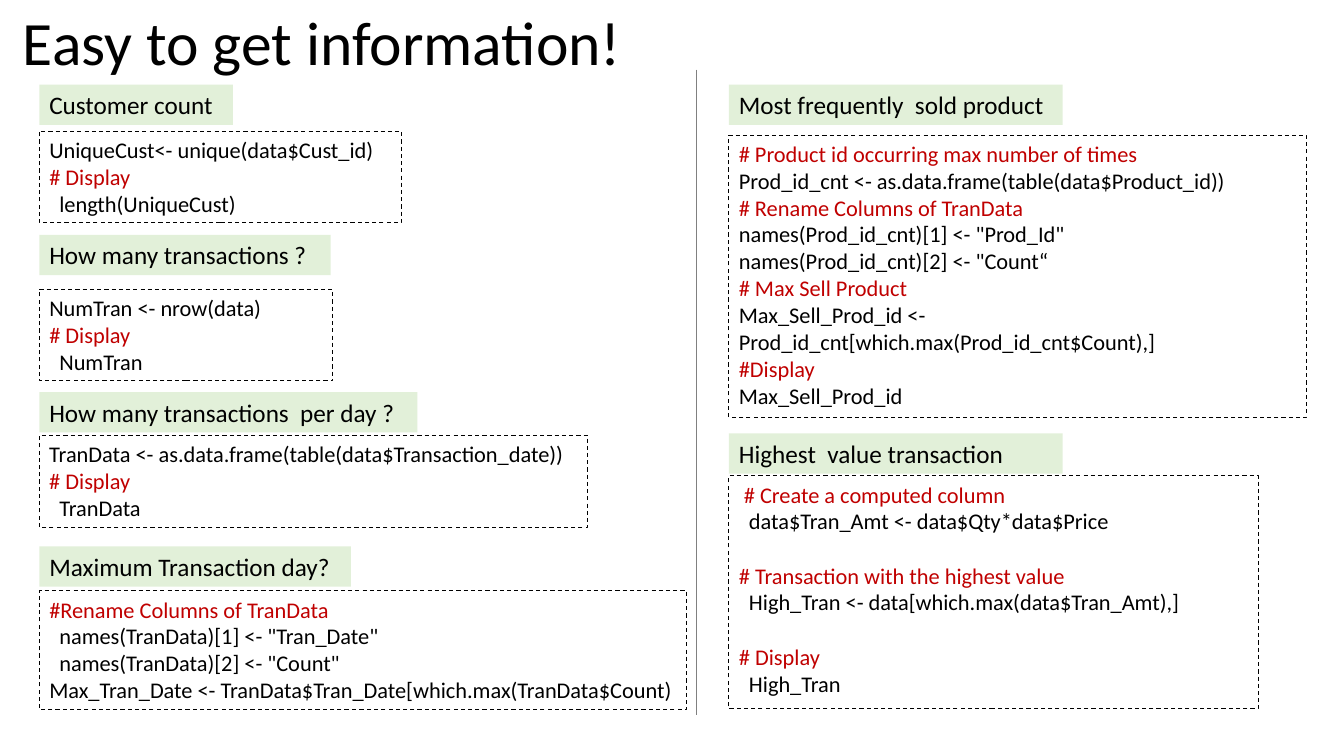
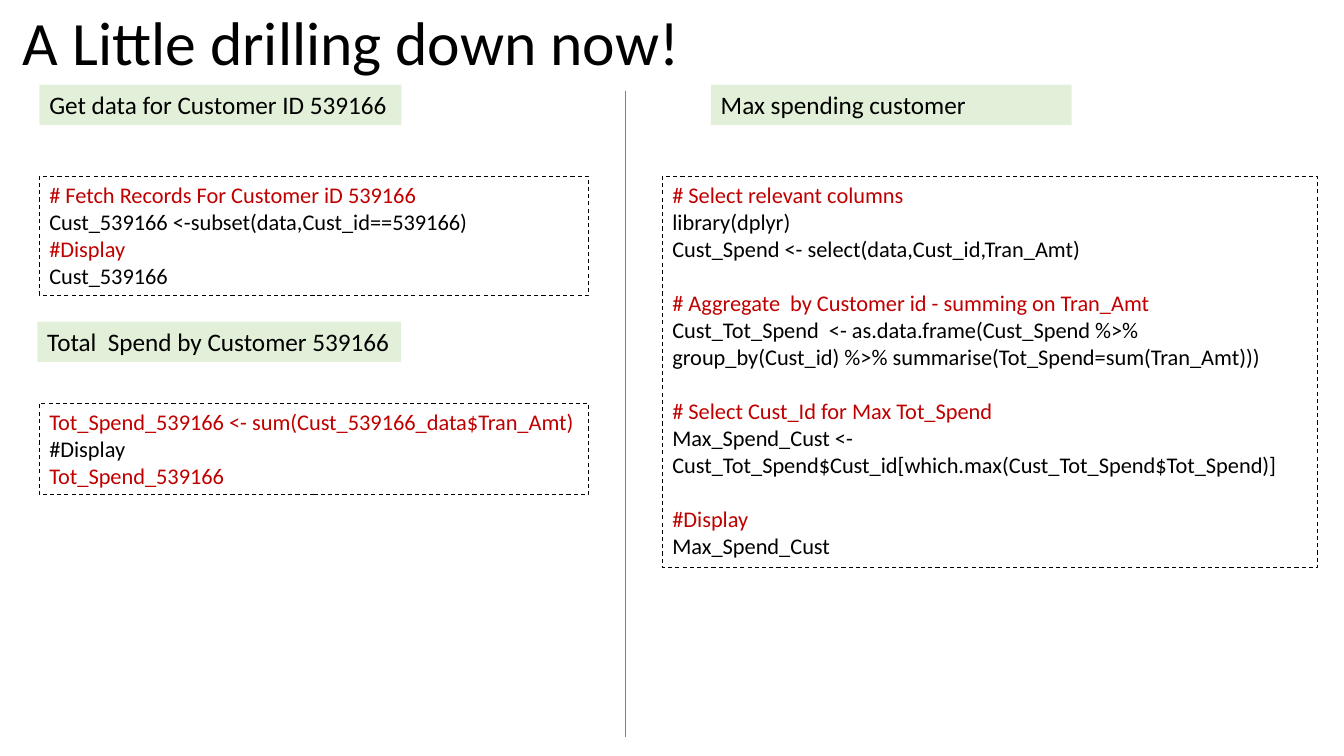
"""Build two slides of R code snippets, each with a label above its code box."""
from pptx import Presentation
from pptx.dml.color import RGBColor
from pptx.enum.dml import MSO_LINE
from pptx.enum.shapes import MSO_CONNECTOR
from pptx.enum.text import MSO_ANCHOR
from pptx.oxml.ns import qn
from pptx.util import Inches, Pt

FONT = "Calibri"
INK, NOTE, BAND, RULE = "000000", "C00000", "E2F0D9", "808080"
WIDE, HIGH = 13.33, 7.5
LEFT, RIGHT = 0.39, 7.23
BAR, PAD, ROW = 0.4, 0.1, 0.27
GAP = 19.5

SLIDES = [
    {
        "title": "Easy to get information!",
        "rule": (6.91, 0.69, 7.09),
        "bands": [
            ("Customer count", LEFT, 0.84, 1.92),
            ("How many transactions ?", LEFT, 2.33, 2.89),
            ("How many transactions  per day ?", LEFT, 3.89, 3.75),
            ("Maximum Transaction day?", LEFT, 5.42, 3.09),
            ("Most frequently  sold product", RIGHT, 0.84, 3.31),
            ("Highest  value transaction", RIGHT, 4.3, 3.31),
        ],
        "codes": [
            (LEFT, 1.3, 3.59, 3, [
                "UniqueCust<- unique(data$Cust_id)",
                "# Display",
                "  length(UniqueCust)"]),
            (LEFT, 2.87, 2.91, 3, [
                "NumTran <- nrow(data)",
                "# Display",
                "  NumTran"]),
            (LEFT, 4.32, 5.44, 3, [
                "TranData <- as.data.frame(table(data$Transaction_date))",
                "# Display",
                "  TranData"]),
            (LEFT, 5.86, 6.42, 4, [
                "#Rename Columns of TranData",
                '  names(TranData)[1] <- "Tran_Date"',
                '  names(TranData)[2] <- "Count"',
                "Max_Tran_Date <- TranData$Tran_Date[which.max(TranData$Count)"]),
            (RIGHT, 1.34, 5.73, 10, [
                "# Product id occurring max number of times",
                "Prod_id_cnt <- as.data.frame(table(data$Product_id))",
                "# Rename Columns of TranData",
                'names(Prod_id_cnt)[1] <- "Prod_Id"',
                'names(Prod_id_cnt)[2] <- "Count“',
                "# Max Sell Product",
                "Max_Sell_Prod_id <-  Prod_id_cnt[which.max(Prod_id_cnt$Count),]",
                "#Display",
                "Max_Sell_Prod_id"]),
            (RIGHT, 4.72, 5.25, 8.2, [
                " # Create a computed column",
                "  data$Tran_Amt <- data$Qty*data$Price",
                "",
                "# Transaction with the highest value",
                "  High_Tran <- data[which.max(data$Tran_Amt),]",
                "",
                "# Display",
                "  High_Tran"]),
        ],
    },
    {
        "title": "A Little drilling down now!",
        "rule": (6.2, 0.9, 7.31),
        "bands": [
            ("Get data for Customer ID 539166", LEFT, 0.84, 3.59),
            ("Total  Spend by Customer 539166", 0.37, 3.19, 3.61),
            ("Max spending customer", 7.05, 0.84, 3.58),
        ],
        "codes": [
            (LEFT, 1.75, 5.45, 4, [
                "# Fetch Records For Customer iD 539166",
                "Cust_539166 <-subset(data,Cust_id==539166)",
                "#Display",
                "Cust_539166"]),
            (LEFT, 4, 5.45, 3, [
                "Tot_Spend_539166 <- sum(Cust_539166_data$Tran_Amt)",
                "#Display",
                "Tot_Spend_539166"], NOTE, INK),
            (6.57, 1.75, 6.5, 14, [
                "# Select relevant columns",
                "library(dplyr)",
                "Cust_Spend <- select(data,Cust_id,Tran_Amt)",
                "",
                "# Aggregate  by Customer id - summing on Tran_Amt",
                "Cust_Tot_Spend  <- as.data.frame(Cust_Spend %>% "
                "group_by(Cust_id) %>% summarise(Tot_Spend=sum(Tran_Amt)))",
                "",
                "# Select Cust_Id for Max Tot_Spend",
                "Max_Spend_Cust <- "
                "Cust_Tot_Spend$Cust_id[which.max(Cust_Tot_Spend$Tot_Spend)]",
                "",
                "#Display",
                "Max_Spend_Cust"]),
        ],
    },
]


def color(code):
    return RGBColor.from_string(code)


def add_box(slide, x, y, w, h):
    box = slide.shapes.add_textbox(*map(Inches, (x, y, w, h)))
    box.text_frame.word_wrap = True
    return box


def write(para, text, size, ink=INK):
    para.text = text
    font = para.font
    font.name, font.size = FONT, Pt(size)
    font.color.rgb = color(ink)


def add_title(slide, text):
    frame = add_box(slide, 0.13, 0, WIDE - 0.13, 0.9).text_frame
    frame.vertical_anchor = MSO_ANCHOR.MIDDLE
    frame.paragraphs[0].line_spacing = 0.9
    write(frame.paragraphs[0], text, 44)


def add_rule(slide, x, top, end):
    line = slide.shapes.add_connector(
        MSO_CONNECTOR.STRAIGHT, *map(Inches, (x, top, x, end)))
    line.line.color.rgb = color(RULE)
    line.line.width = Pt(0.5)
    props = line._element.spPr
    props.append(props.makeelement(qn("a:effectLst"), {}))


def add_band(slide, text, x, y, w):
    box = add_box(slide, x, y, w, BAR)
    box.fill.solid()
    box.fill.fore_color.rgb = color(BAND)
    write(box.text_frame.paragraphs[0], text, 18)


def add_code(slide, x, y, w, rows, lines, ink=INK, note=NOTE):
    box = add_box(slide, x, y, w, PAD + rows * ROW)
    box.line.color.rgb = color(INK)
    box.line.width = Pt(0.75)
    box.line.dash_style = MSO_LINE.DASH
    frame = box.text_frame
    for i, text in enumerate(lines):
        if not text:
            continue
        para = frame.add_paragraph() if i else frame.paragraphs[0]
        if i and not lines[i - 1]:
            para.space_before = Pt(GAP)
        write(para, text, 16, note if text.lstrip().startswith("#") else ink)


def main():
    deck = Presentation()
    deck.slide_width, deck.slide_height = Inches(WIDE), Inches(HIGH)
    for page in SLIDES:
        slide = deck.slides.add_slide(deck.slide_layouts[6])
        add_title(slide, page["title"])
        add_rule(slide, *page["rule"])
        for band in page["bands"]:
            add_band(slide, *band)
        for code in page["codes"]:
            add_code(slide, *code)
    deck.save("out.pptx")


if __name__ == "__main__":
    main()
